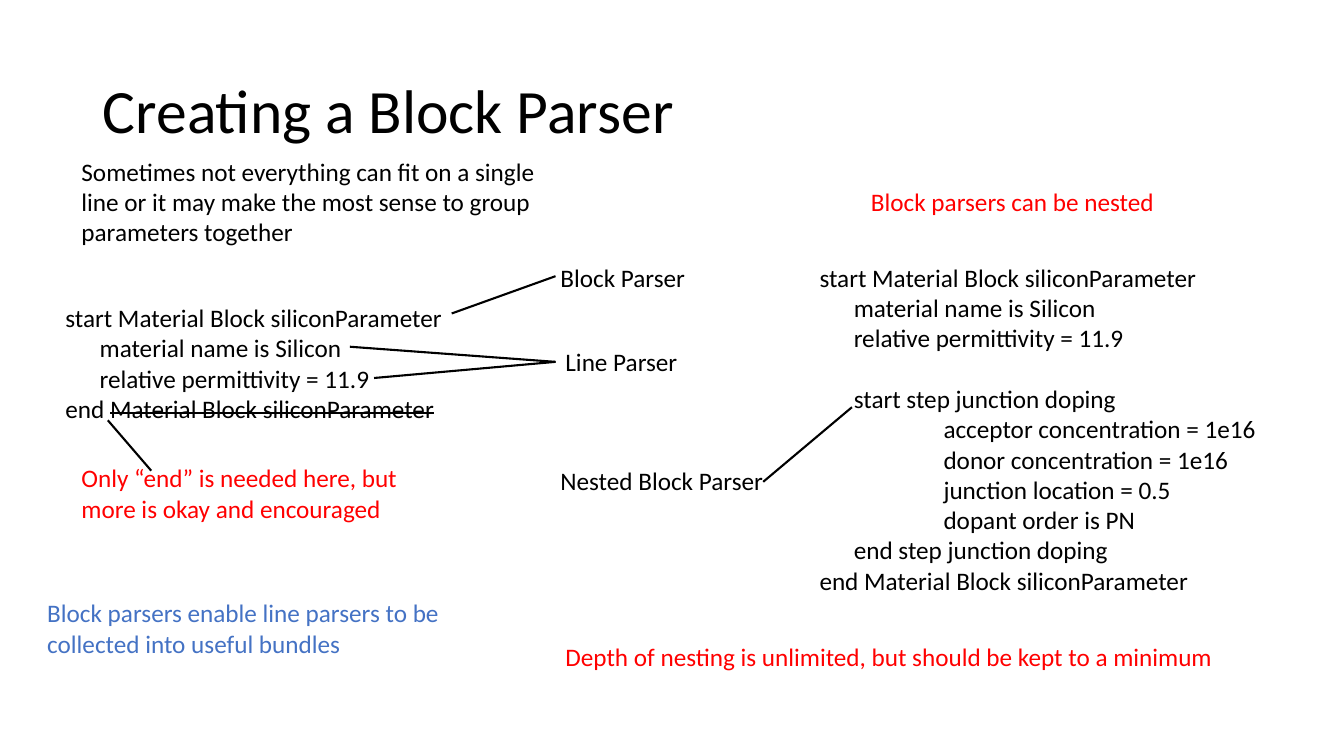
from dataclasses import dataclass

from lxml.etree import SubElement
from pptx import Presentation
from pptx.dml.color import RGBColor
from pptx.enum.shapes import MSO_CONNECTOR
from pptx.enum.text import MSO_ANCHOR, MSO_AUTO_SIZE, PP_ALIGN
from pptx.oxml.ns import qn
from pptx.util import Inches, Pt


@dataclass(frozen=True)
class Theme:
    font: str = "Calibri"
    title_size: int = 44
    body_size: int = 18
    line_width: float = 1.5
    blank_line: float = 22
    indents: tuple = (0, 0.34, 1.23)
    black: RGBColor = RGBColor(0, 0, 0)
    red: RGBColor = RGBColor(255, 0, 0)
    blue: RGBColor = RGBColor(0x44, 0x72, 0xC4)


THEME = Theme()

TITLE = "Creating a Block Parser"
TITLE_BOX = (0.92, 0.4, 11.5, 1.45)

NOTES = [
    ("Sometimes not everything can fit on a single line or it may make the most sense "
     "to group parameters together", (0.71, 1.5, 5, 1.01), THEME.black, True),
    ("Only “end” is needed here, but more is okay and encouraged",
     (0.71, 4.54, 3.67, 0.71), THEME.red, True),
    ("Block parsers enable line parsers to be collected into useful bundles",
     (0.37, 5.88, 4.68, 0.71), THEME.blue, True),
    ("Block parsers can be nested", (8.54, 1.8, 3.04, 0.4), THEME.red, False),
    ("Depth of nesting is unlimited, but should be kept to a minimum",
     (5.51, 6.31, 6.7, 0.4), THEME.red, False),
    ("Block Parser", (5.46, 2.55, 1.45, 0.4), THEME.black, False),
    ("Nested Block Parser", (5.46, 4.57, 2.23, 0.4), THEME.black, False),
]
LINE_PARSER = ("Line Parser", (5.51, 3.39, 1.33, 0.4), THEME.black, False)

BLOCK_NAME = "Material Block siliconParameter"
BLOCK_START = [
    (0, f"start {BLOCK_NAME}"),
    (1, "material name is Silicon"),
    (1, "relative permittivity = 11.9"),
]
SIMPLE_BLOCK = BLOCK_START + [(0, "end ")]
SIMPLE_BOX = (0.55, 2.95, 5.3, 1.31)
NESTED_START = "start step junction doping"
NESTED_BLOCK = BLOCK_START + [
    (1, NESTED_START),
    (2, "acceptor concentration = 1e16"),
    (2, "donor concentration = 1e16"),
    (2, "junction location = 0.5"),
    (2, "dopant order is PN"),
    (1, "end step junction doping"),
    (0, f"end {BLOCK_NAME}"),
]
NESTED_BOX = (8.03, 2.55, 5.3, 3.43)

LINE_PARSER_SOURCES = [(3.71, 3.75), (3.47, 3.44)]
POINTERS = [
    ((1.07, 4.17), (1.5, 4.67)),
    ((5.51, 2.74), (4.48, 3.11)),
    ((7.57, 4.78), (8.45, 4.04)),
]


def style_font(font, size, color):
    """Apply the theme typeface with a size and colour."""
    font.name = THEME.font
    font.size = Pt(size)
    font.color.rgb = color


def add_text(slide, lines, box, color=THEME.black, wrap=True):
    """Add a text box of (indent level, text) lines."""
    shape = slide.shapes.add_textbox(*map(Inches, box))
    frame = shape.text_frame
    frame.word_wrap = wrap
    frame.auto_size = MSO_AUTO_SIZE.SHAPE_TO_FIT_TEXT
    for index, (level, text) in enumerate(lines):
        paragraph = frame.add_paragraph() if index else frame.paragraphs[0]
        paragraph.text = text
        if level:
            properties = paragraph._p.get_or_add_pPr()
            properties.set("marL", str(Inches(THEME.indents[level])))
        if text == NESTED_START:
            paragraph.space_before = Pt(THEME.blank_line)
        style_font(paragraph.font, THEME.body_size, color)
    return shape


def add_pointer(slide, start, end):
    """Draw a plain straight line between two points."""
    pointer = slide.shapes.add_connector(
        MSO_CONNECTOR.STRAIGHT, *map(Inches, start + end))
    pointer.line.color.rgb = THEME.black
    pointer.line.width = Pt(THEME.line_width)
    SubElement(pointer._element.spPr, qn("a:effectLst"))
    return pointer


def add_title(slide):
    """Place and format the title placeholder."""
    title = slide.shapes.title
    title.left, title.top, title.width, title.height = map(Inches, TITLE_BOX)
    title.text_frame.vertical_anchor = MSO_ANCHOR.MIDDLE
    paragraph = title.text_frame.paragraphs[0]
    paragraph.text = TITLE
    paragraph.alignment = PP_ALIGN.LEFT
    paragraph.line_spacing = 0.9
    style_font(paragraph.font, THEME.title_size, THEME.black)


def main():
    """Build and save the slide."""
    presentation = Presentation()
    presentation.slide_width = Inches(13.33)
    presentation.slide_height = Inches(7.5)
    slide = presentation.slides.add_slide(presentation.slide_layouts[5])
    add_title(slide)

    for text, box, color, wrap in NOTES:
        add_text(slide, [(0, text)], box, color, wrap)
    simple_block = add_text(slide, SIMPLE_BLOCK, SIMPLE_BOX)
    struck_run = simple_block.text_frame.paragraphs[-1].add_run()
    struck_run.text = BLOCK_NAME
    struck_run.font._element.set("strike", "sngStrike")
    add_text(slide, NESTED_BLOCK, NESTED_BOX)

    text, box, color, wrap = LINE_PARSER
    line_parser = add_text(slide, [(0, text)], box, color, wrap)
    for source in LINE_PARSER_SOURCES:
        pointer = add_pointer(slide, box[:2], source)
        pointer.begin_connect(line_parser, 1)
    for start, end in POINTERS:
        add_pointer(slide, start, end)

    presentation.save("out.pptx")


if __name__ == "__main__":
    main()
